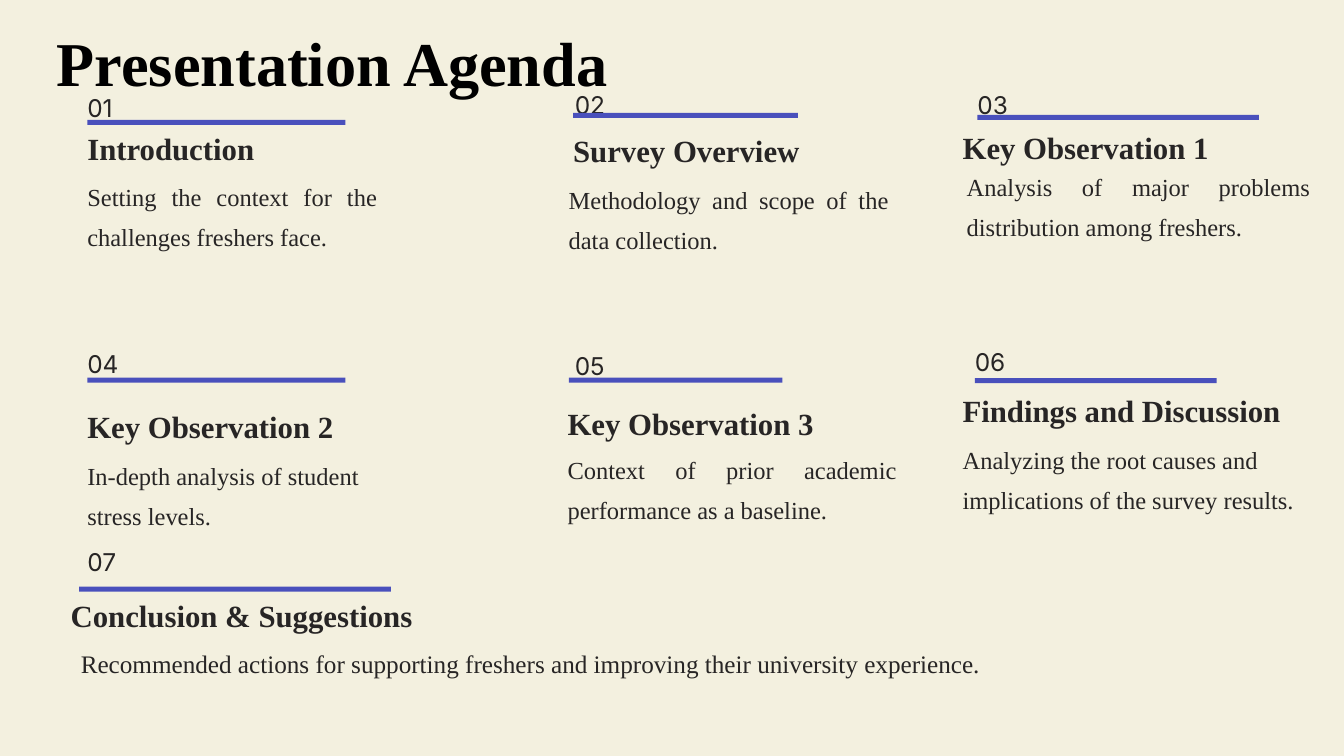
from collections import namedtuple

from pptx import Presentation
from pptx.dml import color
from pptx.enum import shapes, text
from pptx.util import Pt

INK = "272525"
SERIF = "Times New Roman"
LEFT, JUSTIFY = text.PP_ALIGN.LEFT, text.PP_ALIGN.JUSTIFY

Topic = namedtuple("Topic", "heading summary number_at rule heading_box summary_box align")

TOPICS = [
    Topic("Introduction", "Setting the context for the challenges freshers face.",
          (62.4, 59), (62.4, 85.6, 184.4), (62.4, 91.4, 222.5),
          (62.4, 122.3, 207.2, 87.8), JUSTIFY),
    Topic("Survey Overview", "Methodology and scope of the data collection.",
          (410.6, 56.9), (409.4, 80.7, 160.6), (409.4, 92.9, 222.5),
          (406.2, 124.6, 228.8, 106.6), JUSTIFY),
    Topic("Key Observation 1", "Analysis of major problems distribution among freshers.",
          (698.2, 56.9), (698.2, 82.1, 201), (687.6, 90.7, 222.5),
          (690.5, 115.6, 245.5, 85.7), JUSTIFY),
    Topic("Key Observation 2", "In-depth analysis of student stress levels.",
          (62.4, 241.9), (62.4, 269.8, 184.4), (62.4, 290.2, 222.5),
          (62.4, 321.8, 222.5, 56.9), LEFT),
    Topic("Key Observation 3", "Context of prior academic performance as a baseline.",
          (410.6, 243.4), (406.3, 269.7, 152.6), (405.4, 288, 222.5),
          (405.4, 317.5, 235.4, 85), JUSTIFY),
    Topic("Findings and Discussion",
          "Analyzing the root causes and implications of the survey results.",
          (696.3, 240.5), (696.3, 270, 172.8), (687.6, 278.6, 263.5),
          (687.6, 310.7, 285.8, 92.2), LEFT),
    Topic("Conclusion & Suggestions",
          "Recommended actions for supporting freshers and improving their university experience.",
          (62.4, 383), (56.5, 419, 222.7), (50.5, 424.8, 285.1),
          (57.7, 456.5, 804.2, 26.6), LEFT),
]


def rgb(value):
    """Return the colour for a hex string."""
    return color.RGBColor.from_string(value)


def add_text(slide, words, box, size, leading, font=SERIF, ink=INK,
             bold=False, wrap=False, align=LEFT):
    """Add one paragraph of text without margins."""
    frame = slide.shapes.add_textbox(*map(Pt, box)).text_frame
    frame.margin_left = frame.margin_right = frame.margin_top = frame.margin_bottom = 0
    frame.word_wrap = wrap
    frame.text = words
    paragraph = frame.paragraphs[0]
    paragraph.line_spacing = Pt(leading)
    paragraph.alignment = align
    style = paragraph.runs[0].font
    style.name, style.size, style.bold = font, Pt(size), bold
    style.color.rgb = rgb(ink)


def add_rule(slide, left, top, width):
    """Add the thin bar under a topic number."""
    bar = slide.shapes.add_shape(shapes.MSO_SHAPE.RECTANGLE,
                                 Pt(left), Pt(top), Pt(width), Pt(3.6))
    bar.shadow.inherit = False
    bar.fill.solid()
    bar.fill.fore_color.rgb = rgb("4950BC")
    bar.line.fill.background()


def add_topic(slide, number, topic, summary_size):
    """Add the number, rule, heading and summary of one topic."""
    add_text(slide, f"{number:02}", (*topic.number_at, 28, 22.3), 17.5, 28.5, font="Inter")
    add_rule(slide, *topic.rule)
    add_text(slide, topic.heading, (*topic.heading_box, 28), 22, 27.5, bold=True)
    add_text(slide, topic.summary, topic.summary_box, summary_size, 28.5,
             wrap=True, align=topic.align)


def main():
    """Build the agenda slide and save it."""
    deck = Presentation()
    deck.slide_width, deck.slide_height = Pt(960), Pt(540)
    slide = deck.slides.add_slide(deck.slide_layouts[6])
    slide.background.fill.solid()
    slide.background.fill.fore_color.rgb = rgb("F3F0DF")

    add_text(slide, "Presentation Agenda", (40.5, 15.1, 456.5, 55.4), 44.5, 55.5,
             ink="000000", bold=True)
    for number, topic in enumerate(TOPICS, 1):
        add_topic(slide, number, topic, 18 if number == len(TOPICS) else 17.5)

    deck.save("out.pptx")


if __name__ == "__main__":
    main()
